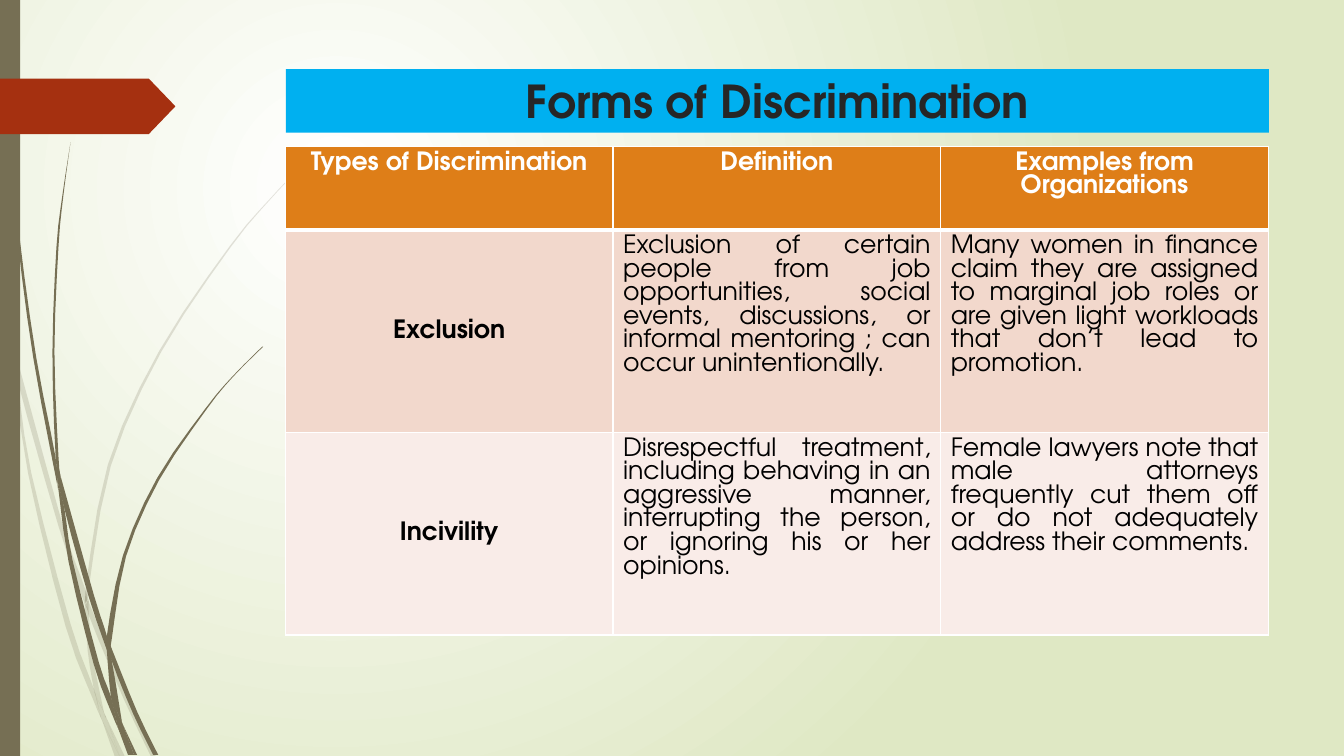
from lxml import etree
from pptx import Presentation
from pptx.dml.color import RGBColor
from pptx.enum.shapes import MSO_SHAPE
from pptx.enum.text import MSO_ANCHOR, MSO_AUTO_SIZE, PP_ALIGN
from pptx.oxml import parse_xml
from pptx.util import Inches, Pt

RECT, ARROW = MSO_SHAPE.RECTANGLE, MSO_SHAPE.PENTAGON
TOP, MIDDLE = MSO_ANCHOR.TOP, MSO_ANCHOR.MIDDLE
CENTER, JUSTIFY = PP_ALIGN.CENTER, PP_ALIGN.JUSTIFY
NO_FIT = MSO_AUTO_SIZE.NONE

NS = "http://schemas.openxmlformats.org/drawingml/2006/main"
PNS = "http://schemas.openxmlformats.org/presentationml/2006/main"
FONT = "TeX Gyre Adventor"
COLORS = {
    "white": "FFFFFF", "lime": "DFE8C4", "olive": "766F54", "rust": "A53010",
    "sky": "00B0F0", "ink": "262626", "black": "000000",
    "head": "DE7E18", "dark": "F2D8CC", "light": "F9ECE8",
}
UNIT = Inches(0.01)  # the grid has 100 columns and 100 rows to the inch
HIGH = 750

# Each piece of grass: its two edges from tip to root, in grid units
PALE = [
    ([(0, 299), (10, 344), (11, 350)], [(0, 282), (9, 322), (11, 350)]),
    ([(14, 345), (17, 376), (58, 522), (84, 599)],
     [(14, 345), (62, 520), (85, 586), (84, 599)]),
    ([(88, 596), (88, 610), (123, 694), (150, 751)],
     [(88, 596), (92, 607), (127, 692), (155, 751)]),
    ([(105, 711), (119, 751)], [(105, 711), (124, 751)]),
    ([(11, 350), (28, 470), (65, 621), (92, 693), (101, 714)],
     [(11, 350), (17, 376), (31, 469), (70, 619), (93, 683), (99, 707), (101, 714)]),
    ([(84, 599), (87, 646), (93, 683), (96, 692), (105, 711)],
     [(84, 599), (88, 608), (91, 646), (103, 706), (105, 711)]),
    ([(312, 153), (289, 175), (268, 197), (228, 244), (158, 348), (107, 461),
      (85, 584), (88, 596)],
     [(312, 154), (290, 175), (268, 198), (229, 245), (160, 349), (110, 462),
      (88, 584), (88, 596)]),
    ([(101, 714), (114, 751)], [(101, 714), (119, 751)]),
    ([(85, 586), (84, 599), (88, 608)], [(85, 586), (88, 596), (88, 610)]),
    ([(93, 683), (99, 707), (101, 714), (119, 751)],
     [(93, 683), (96, 692), (105, 711), (119, 751)]),
]
DEEP = [
    ([(3, 0), (4, 48), (7, 110), (17, 233), (33, 355), (56, 477), (57, 481)],
     [(4, 0), (5, 48), (8, 109), (19, 232), (36, 355), (55, 453), (57, 481)]),
    ([(60, 472), (64, 505), (88, 592), (106, 645)],
     [(60, 472), (93, 590), (106, 631), (106, 645)]),
    ([(110, 641), (111, 656), (132, 708), (152, 749)],
     [(110, 641), (113, 649), (136, 706), (157, 749)]),
    ([(57, 477), (68, 557), (93, 659), (111, 708), (117, 722)],
     [(57, 477), (64, 505), (72, 556), (98, 657), (110, 691), (117, 722)]),
    ([(70, 141), (62, 193), (56, 245), (52, 349), (55, 449), (60, 472)],
     [(70, 141), (63, 193), (58, 245), (54, 349), (58, 453), (60, 472)]),
    ([(122, 719), (133, 749)], [(122, 719), (136, 749)]),
    ([(55, 449), (57, 477), (64, 505)], [(55, 449), (60, 472), (64, 505)]),
    ([(260, 344), (231, 373), (204, 405), (156, 474), (122, 551), (106, 631),
      (110, 641)],
     [(261, 344), (231, 374), (205, 406), (158, 476), (125, 552), (111, 633),
      (110, 641)]),
    ([(117, 722), (127, 749)], [(117, 722), (131, 749)]),
    ([(106, 645), (110, 691), (116, 706), (122, 719)],
     [(106, 645), (111, 656), (121, 716), (122, 719)]),
    ([(106, 631), (106, 645), (111, 656)], [(106, 631), (110, 641), (111, 656)]),
    ([(110, 691), (117, 722), (130, 749)],
     [(110, 691), (116, 706), (122, 719), (133, 749)]),
]
ROWS = [
    ("Types of Discrimination", "Definition", "Examples from Organizations"),
    ("Exclusion",
     "Exclusion of certain people from job opportunities, social events, "
     "discussions, or informal mentoring ; can occur unintentionally.",
     "Many women in finance claim they are assigned to marginal job roles or "
     "are given light workloads that don’t lead to promotion."),
    ("Incivility",
     "Disrespectful treatment, including behaving in an aggressive manner, "
     "interrupting the person, or ignoring his or her opinions.",
     "Female lawyers note that male attorneys frequently cut them off or do "
     "not adequately address their comments."),
]


def rgb(name):
    return RGBColor.from_string(COLORS[name])


def curve(knots):
    """Return points of a smooth Catmull-Rom line through the knots."""
    steps = 3 if len(knots) > 3 else 1
    ends = [knots[0], *knots, knots[-1]]
    points = []
    for a, b, c, d in zip(ends, ends[1:], ends[2:], ends[3:]):
        for t in (i / steps for i in range(steps)):
            points.append(tuple(
                (2 * q + (r - p) * t + (2 * p - 5 * q + 4 * r - s) * t ** 2
                 + (3 * q - p - 3 * r + s) * t ** 3) / 2
                for p, q, r, s in zip(a, b, c, d)))
    return points + [knots[-1]]


def write(frame, text, size=18, color="black", bold=False, align=CENTER, pitch=None):
    frame.word_wrap = True
    para = frame.paragraphs[0]
    para.alignment = align
    if pitch:
        para.line_spacing = Pt(pitch)
    run = para.add_run()
    run.text = text
    font = run.font
    font.name, font.size, font.bold = FONT, Pt(size), bold
    font.color.rgb = rgb(color)


def border(cell, side, width):
    line = etree.SubElement(cell._tc.get_or_add_tcPr(), f"{{{NS}}}ln{side}", w=str(Pt(width)))
    fill = etree.SubElement(line, f"{{{NS}}}solidFill")
    etree.SubElement(fill, f"{{{NS}}}srgbClr", val=COLORS["white"])


class Deck:
    def __init__(self):
        self.file = Presentation()
        self.file.slide_width = Inches(13.33)
        self.file.slide_height = Inches(7.5)
        self.slide = self.file.slides.add_slide(self.file.slide_layouts[5])
        self.shapes = self.slide.shapes

    def glow(self, inner, outer):
        """Fill the background with a round gradient."""
        stops = "".join(
            f'<a:gs pos="{pos}"><a:srgbClr val="{COLORS[name]}"/></a:gs>'
            for pos, name in ((0, inner), (100000, outer)))
        back = parse_xml(
            f'<p:bg xmlns:p="{PNS}" xmlns:a="{NS}"><p:bgPr><a:gradFill>'
            f'<a:gsLst>{stops}</a:gsLst><a:path path="circle">'
            '<a:fillToRect l="50000" t="50000" r="100000" b="100000"/></a:path>'
            '</a:gradFill><a:effectLst/></p:bgPr></p:bg>')
        self.slide.element.cSld.insert(0, back)

    def paint(self, shape, color, alpha=None):
        shape.shadow.inherit = False
        shape.fill.solid()
        shape.fill.fore_color.rgb = rgb(color)
        shape.line.fill.background()
        if alpha:
            tint = shape.fill._xPr.find(f".//{{{NS}}}srgbClr")
            etree.SubElement(tint, f"{{{NS}}}alpha", val=str(alpha * 1000))

    def block(self, kind, color, *box):
        shape = self.shapes.add_shape(kind, *(n * UNIT for n in box))
        self.paint(shape, color)
        return shape

    def blade(self, left, right, color, alpha=None):
        points = [(round(x * UNIT), round(y * UNIT))
                  for x, y in curve(left) + curve(right)[::-1]]
        pen = self.shapes.build_freeform(*points[0])
        pen.add_line_segments(points[1:], close=True)
        self.paint(pen.convert_to_shape(), color, alpha)

    def title(self, text, color, *box):
        head = self.shapes.title
        head.left, head.top, head.width, head.height = (round(n * UNIT) for n in box)
        head.fill.solid()
        head.fill.fore_color.rgb = rgb(color)
        frame = head.text_frame
        frame.auto_size = NO_FIT
        frame.vertical_anchor = MIDDLE
        write(frame, text, size=32.4, color="ink", bold=True)

    def table(self, rows, left, top, col, heights):
        count = len(rows[0])
        grid = self.shapes.add_table(
            len(rows), count, left * UNIT, top * UNIT,
            col * count * UNIT, sum(heights) * UNIT).table
        for column in grid.columns:
            column.width = col * UNIT
        for r, (texts, tall, tone) in enumerate(zip(rows, heights, ("head", "dark", "light"))):
            grid.rows[r].height = tall * UNIT
            for c, text in enumerate(texts):
                cell = grid.cell(r, c)
                for side in "LRTB":
                    border(cell, side, 3 if (r, side) in ((0, "B"), (1, "T")) else 1)
                cell.fill.solid()
                cell.fill.fore_color.rgb = rgb(tone)
                label = r == 0 or c == 0
                cell.vertical_anchor = MIDDLE if r and label else TOP
                write(cell.text_frame, text, color="black" if r else "white",
                      bold=label, align=CENTER if label else JUSTIFY, pitch=16.85)


def main():
    deck = Deck()
    deck.glow("white", "lime")
    for left, right in PALE:
        deck.blade(left, right, "olive", alpha=20)
    for left, right in DEEP:
        deck.blade(left, right, "olive")
    deck.block(RECT, "olive", 0, 0, 20, HIGH)
    deck.block(ARROW, "rust", 0, 78, 174, 55).adjustments[0] = 0.48
    deck.title("Forms of Discrimination", "sky", 283.5, 68.5, 975, 63)
    deck.table(ROWS, 283, 145, 325, (83, 201, 201))
    deck.file.save("out.pptx")


if __name__ == "__main__":
    main()
